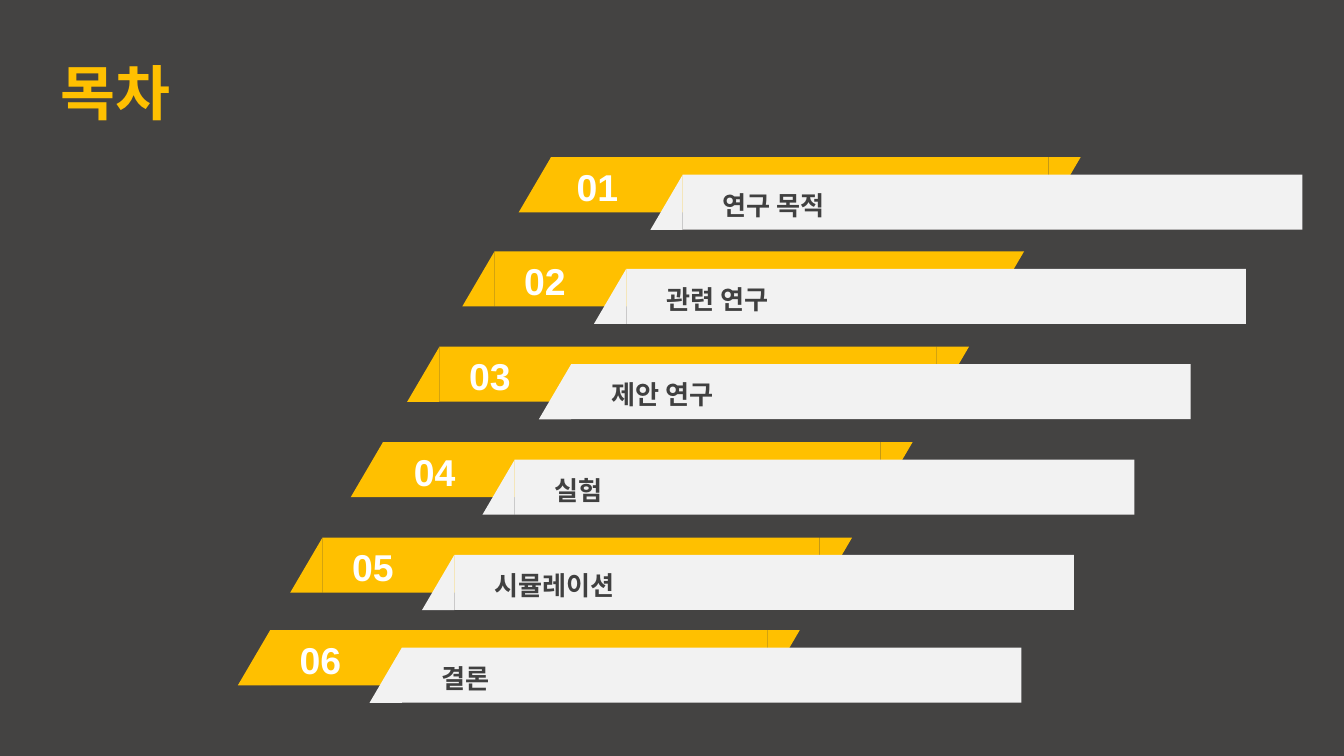
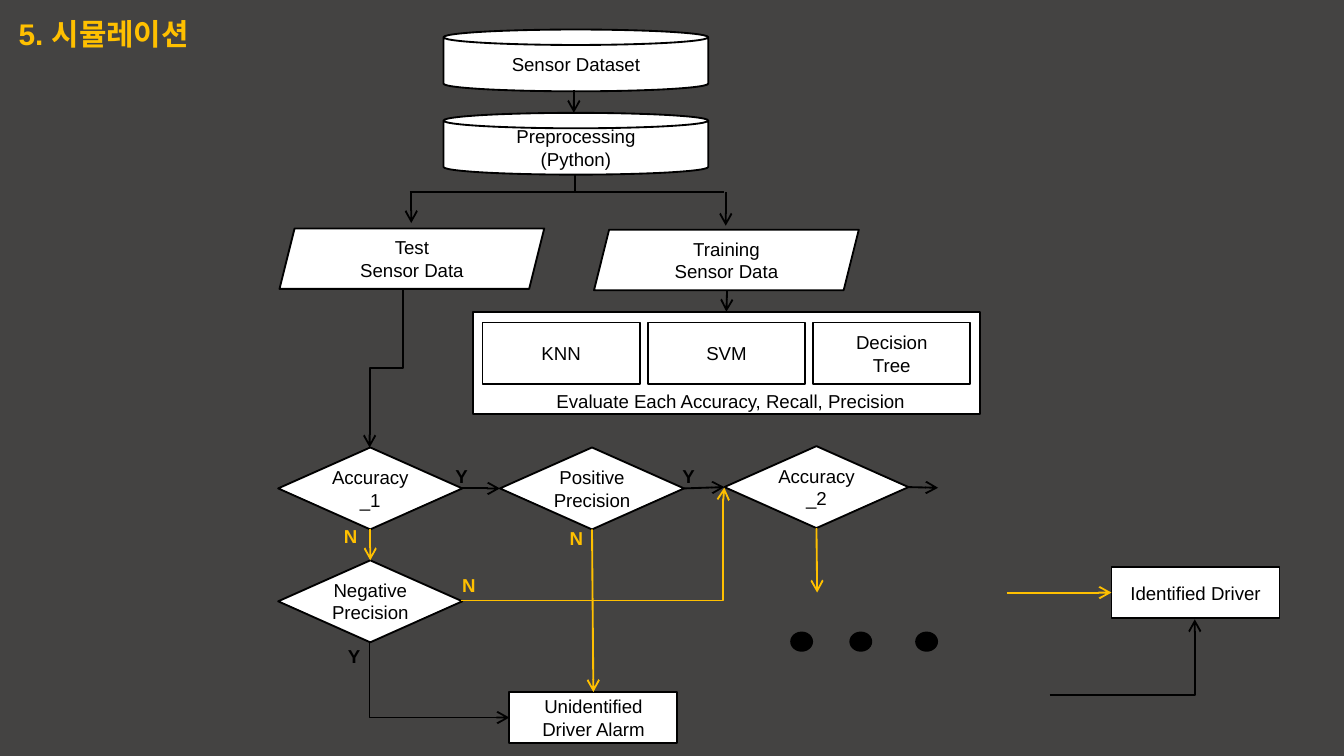
from dataclasses import dataclass

from lxml import etree
from pptx import Presentation
from pptx import util as u
from pptx.dml.color import RGBColor
from pptx.enum import shapes, text
from pptx.oxml.ns import qn

SHAPE = shapes.MSO_SHAPE
LINK = shapes.MSO_CONNECTOR
TOP, LEFT, BOTTOM, RIGHT = range(4)


@dataclass(frozen=True)
class Theme:
    font: str = "Arial"
    background: str = "444342"
    accent: str = "FFC000"
    panel: str = "F2F2F2"
    label: str = "404040"
    white: str = "FFFFFF"
    black: str = "000000"
    title_size: int = 32
    number_size: int = 20
    heading_size: int = 16
    label_size: int = 14
    flow_size: int = 10


THEME = Theme()


def inch(value):
    return u.Cm(value * 2.54)


def rgb(value):
    return RGBColor.from_string(value)


class Deck:
    """Holds the theme, the current slide and the shapes being added to."""

    def __init__(self, theme):
        self.theme = theme
        self.prs = Presentation()
        self.prs.slide_width, self.prs.slide_height = u.Cm(25.4), u.Cm(14.29)

    def new_slide(self):
        self.slide = self.prs.slides.add_slide(self.prs.slide_layouts[6])
        fill = self.slide.background.fill
        fill.solid()
        fill.fore_color.rgb = rgb(self.theme.background)
        self.end_group()

    def start_group(self):
        self.target = self.slide.shapes.add_group_shape().shapes

    def end_group(self):
        self.target = self.slide.shapes

    def add_words(self, frame, words, size, color, bold=False, align=None):
        for i, line in enumerate(words.split("\n")):
            paragraph = frame.add_paragraph() if i else frame.paragraphs[0]
            paragraph.alignment = align
            run = paragraph.add_run()
            run.text = line
            run.font.name = self.theme.font
            run.font.size = u.Pt(size)
            run.font.bold = bold
            run.font.color.rgb = rgb(color)

    def text(self, box, words, size, color, bold=True, align=None,
             wrap=True, grow=True):
        frame = self.target.add_textbox(*map(inch, box)).text_frame
        frame.word_wrap = wrap
        if grow:
            frame.auto_size = text.MSO_AUTO_SIZE.SHAPE_TO_FIT_TEXT
        else:
            frame.vertical_anchor = text.MSO_ANCHOR.MIDDLE
        self.add_words(frame, words, size, color, bold, align)

    def shape(self, kind, box, fill, rotation=0):
        shape = self.target.add_shape(kind, *map(inch, box))
        shape.shadow.inherit = False
        shape.fill.solid()
        shape.fill.fore_color.rgb = rgb(fill)
        shape.line.fill.background()
        shape.rotation = rotation
        return shape

    def node(self, kind, box, words="", inset=None):
        """Outlined white flowchart box with centred text."""
        node = self.shape(kind, box, self.theme.white)
        node.line.color.rgb = rgb(self.theme.black)
        node.line.width = u.Pt(1)
        frame = node.text_frame
        frame.vertical_anchor = text.MSO_ANCHOR.MIDDLE
        if inset is not None:
            frame.margin_left = frame.margin_right = inch(inset)
            frame.margin_top = frame.margin_bottom = inch(inset)
        if words:
            self.add_words(frame, words, self.theme.flow_size, self.theme.black,
                           align=text.PP_ALIGN.CENTER)
        return node

    def slant(self, bar, side):
        """Triangle that extends a bar (left, top, width, height, fill)."""
        left, top, width, height, fill = bar
        depth = 0.24
        center = left - depth / 2 if side == LEFT else left + width + depth / 2
        box = (center - height / 2, top + (height - depth) / 2, height, depth)
        triangle = self.shape(SHAPE.ISOSCELES_TRIANGLE, box, fill,
                              270 if side == LEFT else 90)
        triangle.adjustments[0] = 0

    def finish_link(self, link, color, arrow):
        link.line.color.rgb = rgb(color)
        link.line.width = u.Pt(1)
        props = link.element.spPr
        if arrow:
            etree.SubElement(props.find(qn("a:ln")), qn("a:tailEnd"), type="arrow")
        etree.SubElement(props, qn("a:effectLst"))

    def line(self, start, end, color=THEME.black, arrow=True):
        """Each end is a point (x, y) or a joined side (shape, side)."""
        joined = [not isinstance(p[0], (int, float)) for p in (start, end)]
        points = [(0, 0) if j else p for j, p in zip(joined, (start, end))]
        link = self.target.add_connector(
            LINK.STRAIGHT, *(inch(v) for p in points for v in p))
        if joined[0]:
            link.begin_connect(*start)
        if joined[1]:
            link.end_connect(*end)
        self.finish_link(link, color, arrow)

    def elbow(self, start, end, color=THEME.black, bend=None, down=False):
        """With bend: two corners; without: one. down: leave vertically."""
        (x1, y1), (x2, y2) = start, end
        if down:
            cx, cy, dx, dy = (x1 + x2) / 2, (y1 + y2) / 2, x2 - x1, y2 - y1
            x1, y1 = cx - dy / 2, cy + dx / 2
            x2, y2 = cx + dy / 2, cy - dx / 2
        link = self.target.add_connector(LINK.ELBOW, *map(inch, (x1, y1, x2, y2)))
        props = link.element.spPr
        if down:
            props.find(qn("a:xfrm")).set("rot", str(90 * 60000))
        geometry = props.find(qn("a:prstGeom"))
        if bend is None:
            geometry.set("prst", "bentConnector2")
        else:
            guides = geometry.find(qn("a:avLst"))
            etree.SubElement(guides, qn("a:gd"), name="adj1",
                             fmla=f"val {round(bend * 100000)}")
        self.finish_link(link, color, True)


def agenda_slide(deck):
    t = deck.theme
    deck.new_slide()
    deck.text((0.35, 0.37, 6.06, 0.63), "목차", t.title_size, t.accent, grow=False)

    # Agenda rows: label, left, top, offset of the number
    rows = [("연구 목적", 4.1, 1.17, 0.01), ("관련 연구", 3.68, 1.87, 0.04),
            ("제안 연구", 3.27, 2.58, 0.04), ("실험", 2.85, 3.29, 0.05),
            ("시뮬레이션", 2.4, 4.0, 0.04), ("결론", 2.01, 4.69, 0.04)]
    for number, (label, left, top, shift) in enumerate(rows, 1):
        deck.start_group()
        back = (left, top, 3.7, 0.41, t.accent)
        front = (left + 0.98, top + 0.13, 4.61, 0.41, t.panel)
        for bar, sides in ((back, (LEFT, RIGHT)), (front, (LEFT,))):
            deck.shape(SHAPE.RECTANGLE, bar[:4], bar[4])
            for side in sides:
                deck.slant(bar, side)
        deck.text((left + shift, top, 0.67, 0.44), f"{number:02}",
                  t.number_size, t.white, align=text.PP_ALIGN.CENTER)
        deck.text((left + 1.18, top + 0.19, 4.06, 0.34), label,
                  t.label_size, t.label)
        deck.end_group()


def simulation_slide(deck):
    t = deck.theme
    deck.new_slide()
    deck.text((0.04, 0.07, 3.39, 0.37), "5. 시뮬레이션", t.heading_size, t.accent)

    # Data preparation
    for top, words in ((0.22, "Sensor Dataset"), (0.84, "Preprocessing\n(Python)")):
        deck.node(SHAPE.CAN, (3.3, top, 1.97, 0.46), words)
    for left, top, words in ((2.08, 1.7, "Test"), (4.42, 1.71, "Training")):
        deck.node(SHAPE.PARALLELOGRAM, (left, top, 1.97, 0.45),
                  words + "\nSensor Data")
    deck.line((4.27, 0.67), (4.27, 0.84))
    deck.line((4.28, 1.3), (4.28, 1.43), arrow=False)
    deck.line((3.05, 1.43), (5.39, 1.43), arrow=False)
    deck.line((3.06, 1.43), (3.06, 1.66))
    deck.line((5.4, 1.43), (5.4, 1.68))

    # Models under evaluation
    deck.start_group()
    models = deck.node(SHAPE.RECTANGLE, (3.52, 2.32, 3.77, 0.76))
    for i, model in enumerate(("KNN", "SVM", "Decision\nTree")):
        deck.node(SHAPE.RECTANGLE, (3.59 + 1.23 * i, 2.4, 1.17, 0.46), model)
    deck.text((3.71, 2.85, 3.45, 0.44), "Evaluate Each Accuracy, Recall, Precision",
              t.flow_size, t.black, bold=False, align=text.PP_ALIGN.CENTER)
    deck.end_group()
    deck.line((5.41, 2.16), (models, TOP))

    # Decisions and results
    accuracy_1, negative, positive, accuracy_2 = [
        deck.node(SHAPE.DIAMOND, (left, top, 1.37, 0.61), words, inset=0.02)
        for left, top, words in ((2.07, 3.33, "Accuracy_1"),
                                 (2.07, 4.17, "Negative\nPrecision"),
                                 (3.72, 3.33, "Positive\nPrecision"),
                                 (5.39, 3.32, "Accuracy_2"))]
    alarm, driver = [
        deck.node(SHAPE.RECTANGLE, (left, top, 1.25, 0.38), words)
        for left, top, words in ((3.79, 5.15, "Unidentified\nDriver Alarm"),
                                 (8.27, 4.22, "Identified Driver"))]

    # Flow between decisions
    deck.elbow((3, 2.15), (2.75, 3.33), bend=0.5, down=True)
    deck.line((accuracy_1, RIGHT), (positive, LEFT))
    deck.line((positive, RIGHT), (accuracy_2, LEFT))
    deck.line((accuracy_2, RIGHT), (6.98, 3.63))
    deck.line((accuracy_1, BOTTOM), (negative, TOP), t.accent)
    deck.line((positive, BOTTOM), (alarm, TOP), t.accent)
    deck.line((accuracy_2, BOTTOM), (6.08, 4.41), t.accent)
    deck.line((7.49, 4.41), (driver, LEFT), t.accent)
    deck.elbow((3.43, 4.47), (5.39, 3.63), t.accent, bend=0.996)
    deck.elbow((2.75, 4.77), (3.79, 5.34), down=True)
    deck.elbow((7.81, 5.17), (8.89, 4.61))

    # Branch labels
    branches = {"Y": (t.black, [(2.49, 4.75), (3.29, 3.41), (4.98, 3.41)]),
                "N": (t.accent, [(2.46, 3.86), (3.34, 4.22), (4.14, 3.87)])}
    for answer, (color, places) in branches.items():
        for left, top in places:
            deck.text((left, top, 0.3, 0.27), answer, t.flow_size, color, wrap=False)

    # Continuation dots
    deck.start_group()
    for left in (5.88, 6.32, 6.81):
        deck.shape(SHAPE.OVAL, (left, 4.7, 0.17, 0.15), t.black)
    deck.end_group()


def main():
    deck = Deck(THEME)
    agenda_slide(deck)
    simulation_slide(deck)
    deck.prs.save("out.pptx")


if __name__ == "__main__":
    main()
